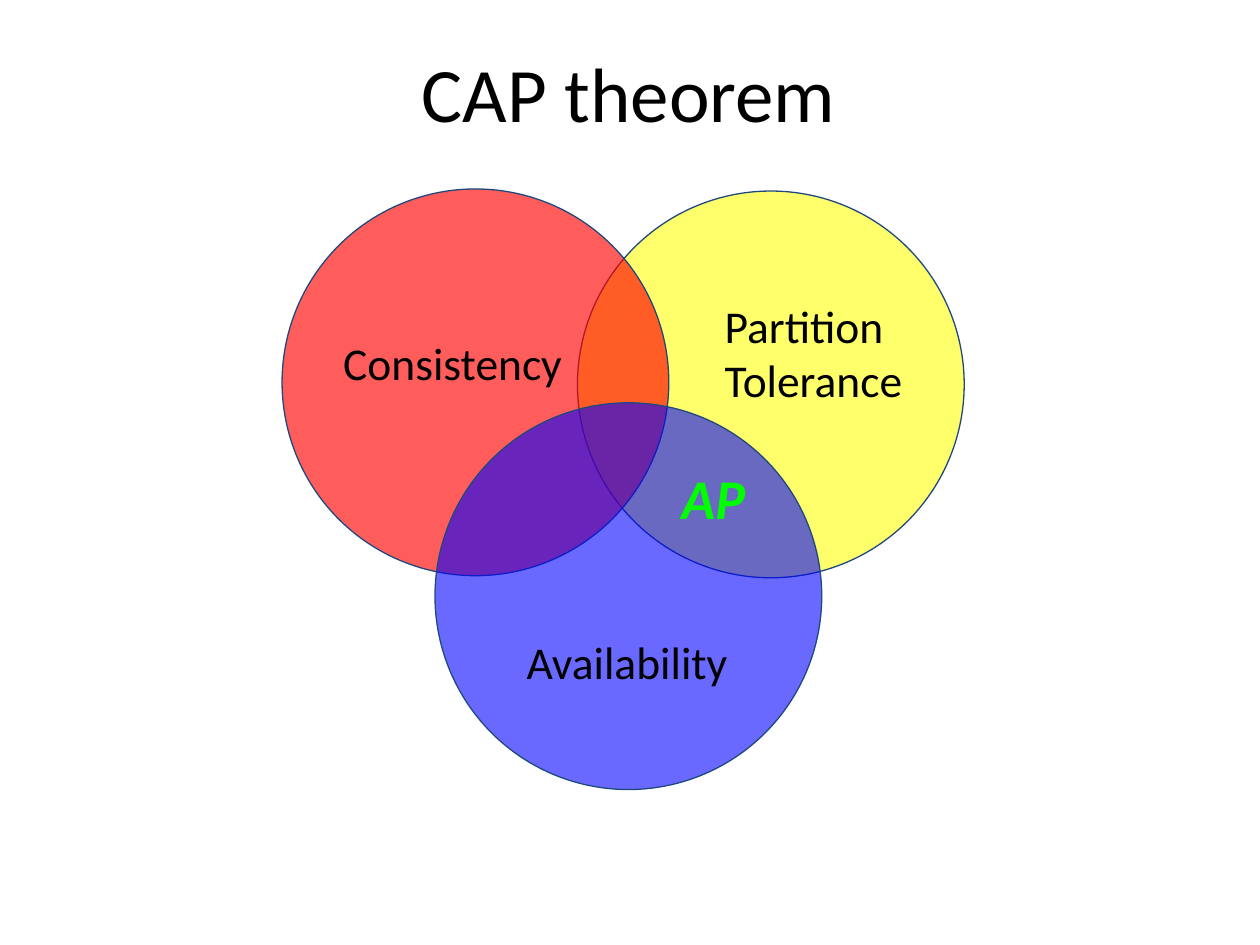
from dataclasses import dataclass

from lxml.etree import SubElement
from pptx import Presentation
from pptx.dml.color import RGBColor
from pptx.enum.shapes import MSO_SHAPE
from pptx.enum.text import MSO_ANCHOR, PP_ALIGN
from pptx.oxml.ns import qn
from pptx.shapes.shapetree import GroupShapes, SlideShapes
from pptx.slide import Slide
from pptx.text.text import TextFrame
from pptx.util import Pt

BLACK = RGBColor(0x00, 0x00, 0x00)
YELLOW = RGBColor(0xFF, 0xFF, 0x00)
RED = RGBColor(0xFF, 0x00, 0x00)
BLUE = RGBColor(0x00, 0x00, 0xFF)
GREEN = RGBColor(0x00, 0xFF, 0x00)
NAVY = RGBColor(0x1F, 0x49, 0x7D)
FONT = "Calibri"
SIZE = 221
PAD = 7.2


@dataclass(frozen=True)
class Label:
    text: str
    left: float
    top: float
    width: float
    height: float
    size: int = 26
    color: RGBColor = BLACK
    strong: bool = False
    wrap: bool = False


@dataclass(frozen=True)
class Circle:
    left: float
    top: float
    fill: RGBColor
    alpha: int
    label: Label


CIRCLES = [
    Circle(330, 109.2, YELLOW, 58,
           Label("Partition Tolerance", 407, 163, 169, 78, wrap=True)),
    Circle(161.2, 108, RED, 64, Label("Consistency", 189, 184.5, 141, 46)),
    Circle(248.6, 230.2, BLUE, 59, Label("Availability", 293.8, 355, 133, 46)),
]
OVERLAP = Label("AP", 382.3, 257.8, 54, 53, 32, GREEN, True)


def write(frame: TextFrame, text: str, size: int, color: RGBColor, strong: bool = False) -> None:
    frame.text = text
    font = frame.paragraphs[0].runs[0].font
    font.name = FONT
    font.size = Pt(size)
    font.color.rgb = color
    font.bold = font.italic = strong


def add_label(shapes: SlideShapes | GroupShapes, label: Label) -> None:
    box = shapes.add_textbox(Pt(label.left), Pt(label.top), Pt(label.width), Pt(label.height))
    frame = box.text_frame
    frame.word_wrap = label.wrap
    frame.margin_left = frame.margin_right = Pt(PAD)
    frame.margin_top = frame.margin_bottom = Pt(PAD)
    write(frame, label.text, label.size, label.color, label.strong)


def add_circle(slide: Slide, circle: Circle) -> None:
    shapes = slide.shapes.add_group_shape().shapes
    disc = shapes.add_shape(MSO_SHAPE.OVAL, Pt(circle.left), Pt(circle.top), Pt(SIZE), Pt(SIZE))
    disc.shadow.inherit = False
    disc.fill.solid()
    disc.fill.fore_color.rgb = circle.fill
    tint = disc.fill._xPr.find(qn("a:solidFill"))[0]
    SubElement(tint, qn("a:alpha"), val=str(circle.alpha * 1000))
    disc.line.color.rgb = NAVY
    disc.line.width = Pt(0.75)
    add_label(shapes, circle.label)


def add_title(slide: Slide, text: str) -> None:
    title = slide.shapes.title
    title.left, title.top = Pt(14.4), Pt(7.2)
    title.width, title.height = Pt(690), Pt(90)
    frame = title.text_frame
    frame.vertical_anchor = MSO_ANCHOR.MIDDLE
    write(frame, text, 44, BLACK)
    frame.paragraphs[0].alignment = PP_ALIGN.CENTER


def main() -> None:
    deck = Presentation()
    deck.slide_width, deck.slide_height = Pt(720), Pt(540)
    slide = deck.slides.add_slide(deck.slide_layouts.get_by_name("Title Only"))
    add_title(slide, "CAP theorem")
    for circle in CIRCLES:
        add_circle(slide, circle)
    add_label(slide.shapes, OVERLAP)
    deck.save("out.pptx")


if __name__ == "__main__":
    main()
